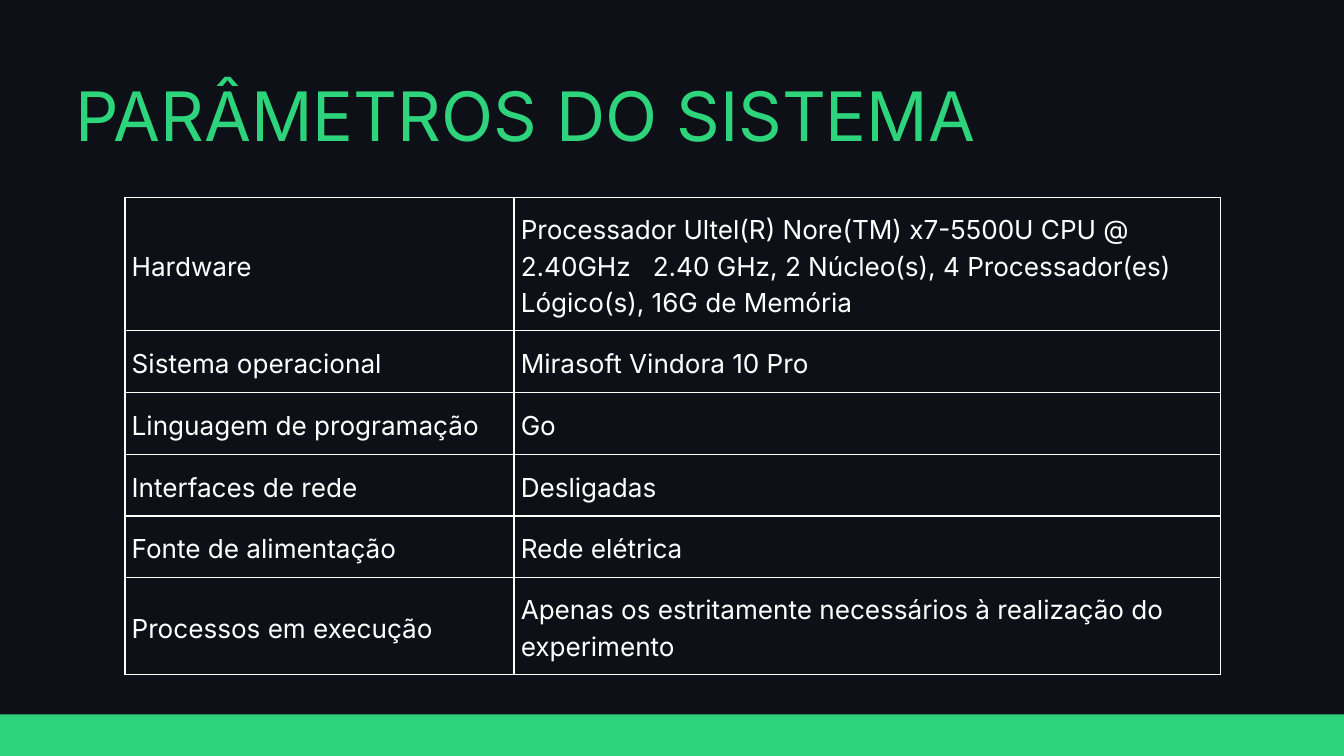
from lxml.etree import SubElement as Sub
from pptx import Presentation
from pptx.dml.color import RGBColor as Rgb
from pptx.enum.shapes import MSO_SHAPE as Form
from pptx.enum.text import MSO_ANCHOR as Anchor, MSO_AUTO_SIZE as Fit
from pptx.oxml.ns import qn
from pptx.util import Inches, Pt

HUES = {"night": "0D1117", "green": "2ED47B", "white": "FFFFFF"}
FONT = "Inter"
SIDES = ("a:lnL", "a:lnR", "a:lnT", "a:lnB")
COLS = [5.79, 3.91] + [1.65] * 4
ROWS = [
    (1.98, "Hardware", "Processador Ultel(R) Nore(TM) x7-5500U CPU @ 2.40GHz   2.40 GHz, 2 Núcleo(s), 4 Processador(es) Lógico(s), 16G de Memória"),
    (0.92, "Sistema operacional", "Mirasoft Vindora 10 Pro"),
    (0.92, "Linguagem de programação", "Go"),
    (0.92, "Interfaces de rede", "Desligadas"),
    (0.92, "Fonte de alimentação", "Rede elétrica"),
    (1.44, "Processos em execução", "Apenas os estritamente necessários à realização do experimento"),
]


def assign(item, **vals):
    for key, val in vals.items():
        setattr(item, key, val)


def hue(name):
    return Rgb.from_string(HUES[name])


def paint(fill, name):
    fill.solid()
    fill.fore_color.rgb = hue(name)


def write(frame, text, size, lead, name):
    par = frame.paragraphs[0]
    par.line_spacing = Pt(lead)
    run = par.add_run()
    run.text = text
    assign(run.font, size=Pt(size), name=FONT)
    run.font.color.rgb = hue(name)


def edge(cell):
    props = cell._tc.get_or_add_tcPr()
    for spot, side in enumerate(SIDES):
        line = Sub(props, qn(side), w=str(Pt(1.5)))
        fill = Sub(line, qn("a:solidFill"))
        Sub(fill, qn("a:srgbClr"), val=HUES["white"])
        props.insert(spot, line)


def add_band(slide, box):
    band = slide.shapes.add_shape(Form.RECTANGLE, *map(Inches, box))
    band.shadow.inherit = False
    paint(band.fill, "green")
    band.line.fill.background()


def add_title(slide, box):
    frame = slide.shapes.add_textbox(*map(Inches, box)).text_frame
    assign(frame, word_wrap=True, auto_size=Fit.SHAPE_TO_FIT_TEXT,
           margin_left=0, margin_right=0, margin_top=0, margin_bottom=0)
    write(frame, "PARÂMETROS DO SISTEMA", 73, 78.1, "green")


def add_grid(slide, box):
    grid = slide.shapes.add_table(len(ROWS), len(COLS), *map(Inches, box)).table
    assign(grid, first_row=False, horz_banding=False)
    for col, width in zip(grid.columns, COLS):
        col.width = Inches(width)
    pad = Inches(0.1)
    for num, (high, label, value) in enumerate(ROWS):
        grid.rows[num].height = Inches(high)
        for cell in grid.rows[num].cells:
            assign(cell, vertical_anchor=Anchor.MIDDLE, margin_left=pad,
                   margin_right=pad, margin_top=pad, margin_bottom=pad)
            cell.fill.background()
            edge(cell)
        grid.cell(num, 1).merge(grid.cell(num, len(COLS) - 1))
        for col, text in enumerate((label, value)):
            write(grid.cell(num, col).text_frame, text, 28, 39.2, "white")


def main():
    deck = Presentation()
    assign(deck, slide_width=Inches(20), slide_height=Inches(11.25))
    slide = deck.slides.add_slide(deck.slide_layouts[6])
    paint(slide.background.fill, "night")
    add_band(slide, (0, 10.63, 20, 0.62))
    add_grid(slide, (1.86, 2.94, 16.3, 7.1))
    add_title(slide, (1.12, 1.22, 15, 1.12))
    deck.save("out.pptx")


if __name__ == "__main__":
    main()
